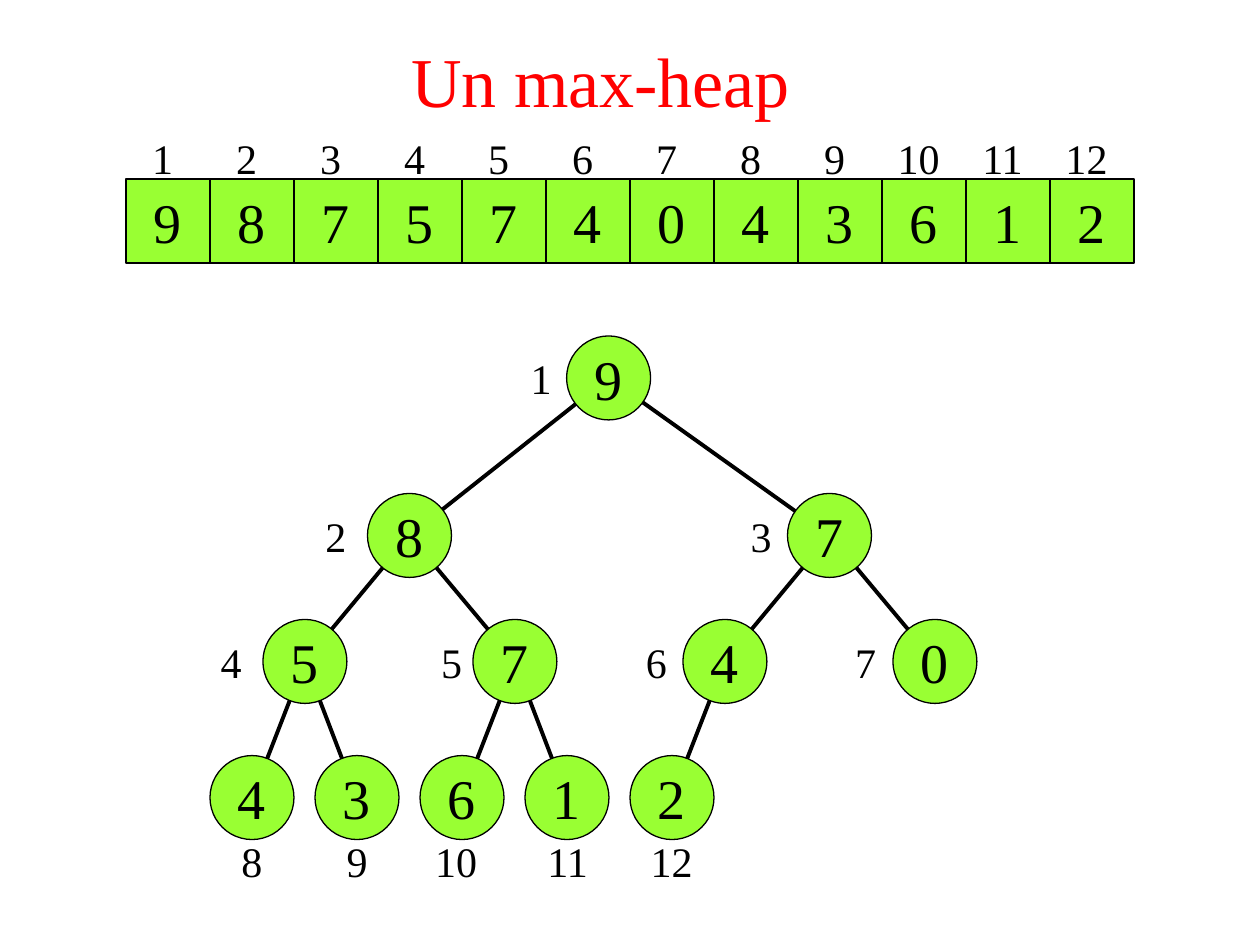
from dataclasses import dataclass

from lxml import etree
from pptx import Presentation
from pptx.dml.color import RGBColor
from pptx.enum.shapes import MSO_CONNECTOR, MSO_SHAPE
from pptx.enum.text import MSO_ANCHOR, MSO_AUTO_SIZE, PP_ALIGN
from pptx.oxml.ns import qn
from pptx.util import Inches, Pt

RECTANGLE, OVAL = MSO_SHAPE.RECTANGLE, MSO_SHAPE.OVAL
STRAIGHT = MSO_CONNECTOR.STRAIGHT
MIDDLE, TOP = MSO_ANCHOR.MIDDLE, MSO_ANCHOR.TOP
LEFT, CENTER = PP_ALIGN.LEFT, PP_ALIGN.CENTER
GROW = MSO_AUTO_SIZE.SHAPE_TO_FIT_TEXT

FONT = "Times New Roman"
GREEN, BLACK, RED = "99FF33", "000000", "FF0000"
HEAP = [9, 8, 7, 5, 7, 4, 0, 4, 3, 6, 1, 2]
SIDE = 2 / 3
ARRAY_LEFT, ARRAY_TOP = 1, 1.42


@dataclass
class Level:
    """One row of the tree: node centres are evenly spaced from the first."""
    first: float
    gap: float
    middle: float
    label_top: float


@dataclass
class Label:
    """Horizontal place of an index label."""
    left: float
    width: float


LEVELS = [
    Level(4.83, 0, 3, 2.75),
    Level(3.25, 10 / 3, 4.25, 4),
    Level(2.42, 5 / 3, 5.25, 5),
    Level(2, 5 / 6, 6.33, 6.58),
]
LABELS = [
    Label(3.92, 0.75), Label(2.33, 0.67), Label(5.75, 0.58), Label(1.5, 0.67),
    Label(3.25, 0.67), Label(4.92, 0.58), Label(6.58, 0.58), Label(1.75, 0.5),
    Label(2.5, 0.67), Label(3.33, 0.58), Label(4.17, 0.67), Label(5.08, 0.5),
]


def colour(value: str) -> RGBColor:
    """Turn a hex string into a colour."""
    return RGBColor.from_string(value)


def level_of(index: int) -> Level:
    """Return the tree row that holds a 1-based heap index."""
    return LEVELS[index.bit_length() - 1]


def centre(index: int) -> tuple[float, float]:
    """Return the centre of the node with a 1-based heap index."""
    level = level_of(index)
    offset = index - 2 ** (index.bit_length() - 1)
    return level.first + offset * level.gap, level.middle


def write(box, text: str, size: int, ink: str = BLACK, wrap: bool = False,
          anchor=MIDDLE, align=CENTER):
    """Put one formatted paragraph into a box and return it."""
    frame = box.text_frame
    frame.text = text
    frame.word_wrap = wrap
    frame.vertical_anchor = anchor
    para = frame.paragraphs[0]
    para.alignment = align
    for span in para.runs:
        span.font.name = FONT
        span.font.size = Pt(size)
        span.font.color.rgb = colour(ink)
    return para


def add_cell(shapes, kind, left: float, top: float, value: int) -> None:
    """Draw a green array cell or tree node with its value."""
    box = shapes.add_shape(kind, Inches(left), Inches(top), Inches(SIDE), Inches(SIDE))
    box.shadow.inherit = False
    box.fill.solid()
    box.fill.fore_color.rgb = colour(GREEN)
    box.line.color.rgb = colour(BLACK)
    box.line.width = Pt(0.75)
    write(box, str(value), 32)


def add_edge(shapes, parent: int, child: int) -> None:
    """Join two nodes, centre to centre."""
    ends = [Inches(length) for length in centre(parent) + centre(child)]
    edge = shapes.add_connector(STRAIGHT, *ends)
    edge.line.color.rgb = colour(BLACK)
    edge.line.width = Pt(2.25)
    etree.SubElement(edge._element.spPr, qn("a:effectLst"))


def add_text_box(page, left: float, top: float, width: float, height: float):
    """Add an empty text box without side margins."""
    box = page.shapes.add_textbox(Inches(left), Inches(top), Inches(width), Inches(height))
    box.text_frame.margin_left = box.text_frame.margin_right = Inches(0)
    return box


def add_tree(page) -> None:
    """Draw the edges, then the nodes over them, then the index labels."""
    shapes = page.shapes.add_group_shape().shapes
    for child in range(2, len(HEAP) + 1):
        add_edge(shapes, child // 2, child)
    for index, value in enumerate(HEAP, 1):
        x, y = centre(index)
        add_cell(shapes, OVAL, x - SIDE / 2, y - SIDE / 2, value)
    for index, label in enumerate(LABELS, 1):
        box = add_text_box(page, label.left, level_of(index).label_top, label.width, 0.5)
        write(box, str(index), 24)


def add_array(page) -> None:
    """Draw the array cells and the index row on centred tab stops."""
    shapes = page.shapes.add_group_shape().shapes
    for position, value in enumerate(HEAP):
        add_cell(shapes, RECTANGLE, ARRAY_LEFT + position * SIDE, ARRAY_TOP, value)
    box = add_text_box(page, 0.92, 1, 8.17, 0.5)
    indices = "".join(f"\t{index}" for index in range(1, len(HEAP) + 1))
    para = write(box, indices, 24, wrap=True, align=LEFT)
    tabs = etree.SubElement(para._p.get_or_add_pPr(), qn("a:tabLst"))
    for position in range(len(HEAP)):
        stop = Inches(0.37 + position * SIDE)
        etree.SubElement(tabs, qn("a:tab"), pos=str(int(stop)), algn="ctr")


def add_title(page) -> None:
    """Write the slide title."""
    box = add_text_box(page, 2.5, 0.25, 4.67, 0.77)
    write(box, "Un max-heap ", 40, RED, wrap=True, anchor=TOP)
    box.text_frame.auto_size = GROW


def main() -> None:
    """Build and save the slide."""
    deck = Presentation()
    deck.slide_width, deck.slide_height = Inches(10), Inches(7.5)
    page = deck.slides.add_slide(deck.slide_layouts[6])
    add_tree(page)
    add_array(page)
    add_title(page)
    deck.save("out.pptx")


main()
